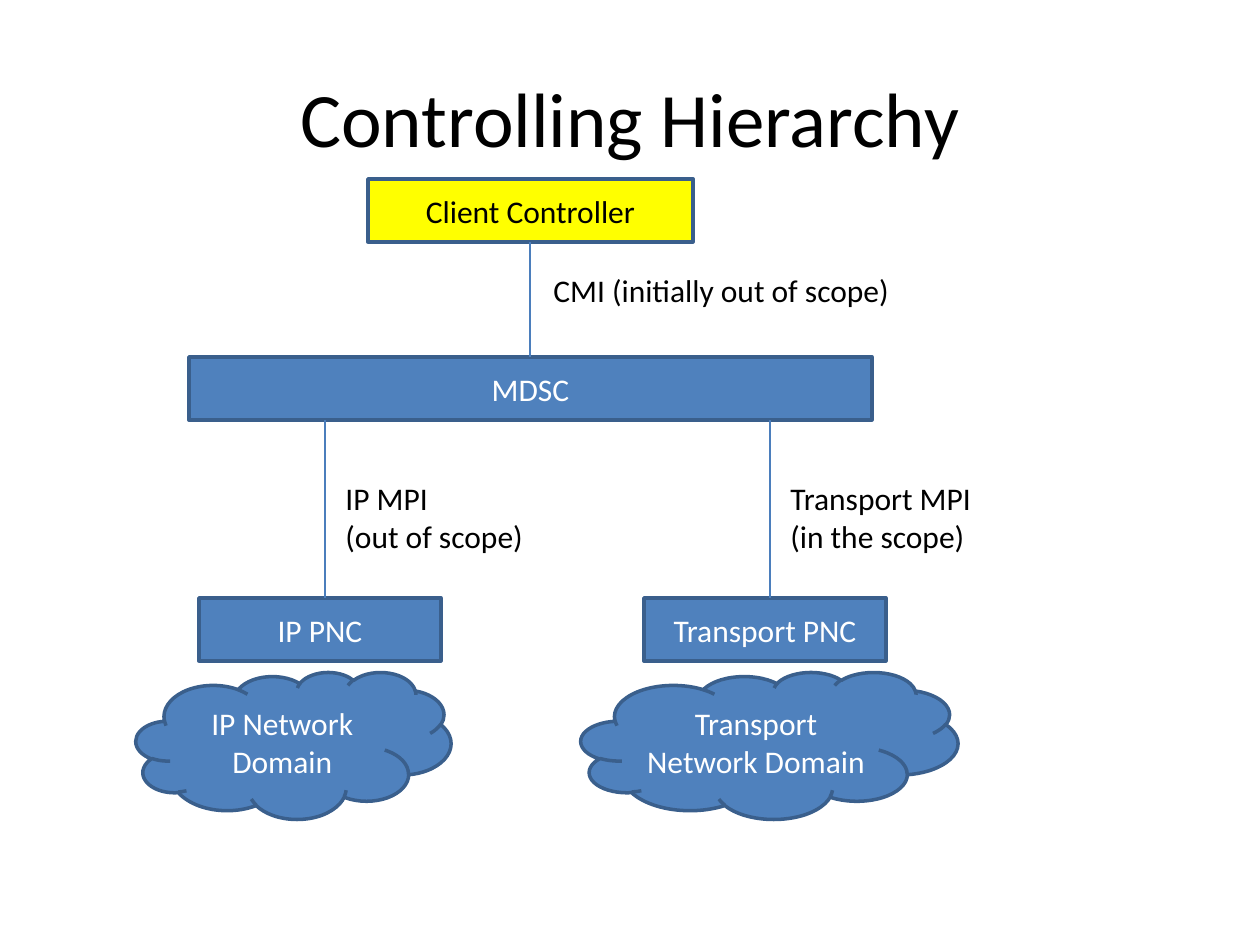
from dataclasses import dataclass

from lxml import etree
from pptx import Presentation
from pptx import util as u
from pptx.dml.color import RGBColor
from pptx.enum import shapes, text
from pptx.oxml import ns

EMU_PER_PIXEL = 914400 / 126
COLORS = {
    "blue": "4F81BD",
    "border": "3A5F8C",
    "link": "4B7EBC",
    "yellow": "FFFF00",
    "white": "FFFFFF",
    "black": "000000",
}
RECT = shapes.MSO_SHAPE.RECTANGLE
CLOUD = shapes.MSO_SHAPE.CLOUD
BOX_HEIGHT = 63
MDSC_TOP = 357
PNC_TOP = 598


@dataclass
class Node:
    words: str
    left: int
    top: int
    width: int
    height: int = BOX_HEIGHT
    kind: shapes.MSO_SHAPE = RECT
    fill: str = "blue"
    ink: str = "white"


@dataclass
class Label:
    words: str
    left: int
    top: int
    width: int
    height: int


@dataclass
class Link:
    x: int
    top: int
    bottom: int


@dataclass
class Domain:
    name: str
    scope: str
    left: int
    cloud_width: int
    label_width: int


def px(*lengths: int) -> list[u.Emu]:
    return [u.Emu(round(length * EMU_PER_PIXEL)) for length in lengths]


def color(name: str) -> RGBColor:
    return RGBColor.from_string(COLORS[name])


def write(frame, words: str, *, size: int = 18, ink: str = "black",
          align=text.PP_ALIGN.CENTER, anchor=text.MSO_ANCHOR.MIDDLE,
          wrap: bool = True) -> None:
    frame.text = words
    frame.word_wrap = wrap
    frame.vertical_anchor = anchor
    for para in frame.paragraphs:
        para.alignment = align
        for span in para.runs:
            span.font.name = "Calibri"
            span.font.size = u.Pt(size)
            span.font.color.rgb = color(ink)


def draw_node(page, node: Node) -> None:
    box = page.shapes.add_shape(
        node.kind, *px(node.left, node.top, node.width, node.height))
    box.shadow.inherit = False
    box.fill.solid()
    box.fill.fore_color.rgb = color(node.fill)
    box.line.color.rgb = color("border")
    box.line.width = u.Pt(2)
    write(box.text_frame, node.words, ink=node.ink)


def draw_link(page, link: Link) -> None:
    line = page.shapes.add_connector(
        shapes.MSO_CONNECTOR.STRAIGHT,
        *px(link.x, link.top, link.x, link.bottom))
    line.line.color.rgb = color("link")
    line.line.width = u.Pt(0.75)
    etree.SubElement(line._element.spPr, ns.qn("a:effectLst"))


def draw_label(page, label: Label) -> None:
    box = page.shapes.add_textbox(
        *px(label.left, label.top, label.width, label.height))
    write(box.text_frame, label.words, align=text.PP_ALIGN.LEFT,
          anchor=text.MSO_ANCHOR.TOP, wrap=False)
    box.text_frame.auto_size = text.MSO_AUTO_SIZE.SHAPE_TO_FIT_TEXT


def draw_domain(page, domain: Domain) -> None:
    left = domain.left
    draw_node(page, Node(f"{domain.name} PNC", left + 63, PNC_TOP, 242))
    draw_link(page, Link(left + 189, MDSC_TOP + BOX_HEIGHT, PNC_TOP))
    draw_node(page, Node(f"{domain.name} Network Domain", left, 672,
                         domain.cloud_width, 147, CLOUD))
    draw_label(page, Label(f"{domain.name} MPI\n({domain.scope})", left + 197,
                           473, domain.label_width, 89))


def main() -> None:
    deck = Presentation()
    deck.slide_width, deck.slide_height = px(1260, 945)
    page = deck.slides.add_slide(deck.slide_layouts[5])

    title = page.shapes.title
    title.left, title.top, title.width, title.height = px(63, 38, 1134, 158)
    write(title.text_frame, "Controlling Hierarchy", size=44)

    client = Node("Client Controller", 368, 179, 325, fill="yellow", ink="black")
    draw_node(page, Node("MDSC", 189, MDSC_TOP, 683))
    draw_node(page, client)
    draw_link(page, Link(530, client.top + BOX_HEIGHT, MDSC_TOP))
    draw_label(page, Label("CMI (initially out of scope)", 541, 265, 365, 50))

    for domain in (
        Domain("IP", "out of scope", 136, 315, 205),
        Domain("Transport", "in the scope", 581, 377, 208),
    ):
        draw_domain(page, domain)

    deck.save("out.pptx")


main()
